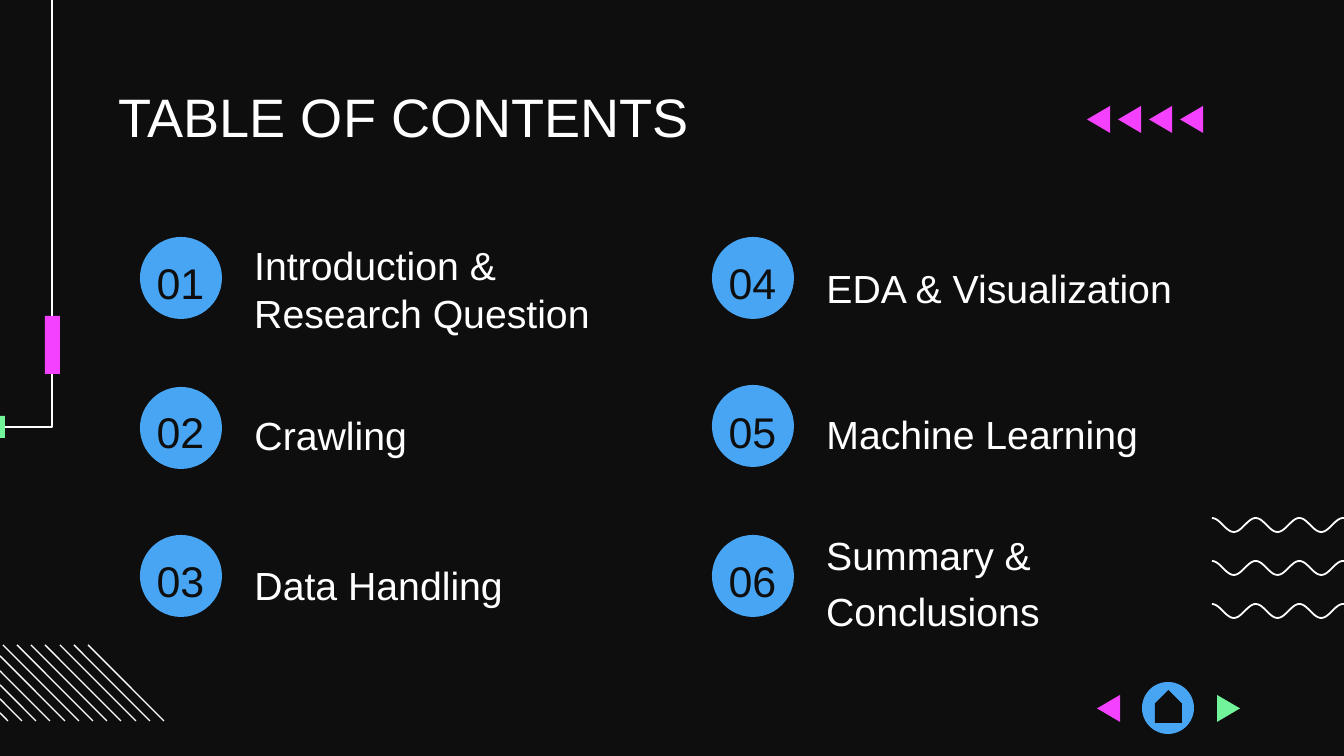
import math

from pptx import Presentation
from pptx import util as u
from pptx.dml.color import RGBColor
from pptx.enum import shapes, text
from pptx.oxml import parse_xml
from pptx.oxml.ns import nsdecls

BLACK = RGBColor(0x0E, 0x0E, 0x0E)
WHITE = RGBColor(0xFF, 0xFF, 0xFF)
BLUE = RGBColor(0x47, 0xA5, 0xF3)
PINK = RGBColor(0xF3, 0x41, 0xFF)
GREEN = RGBColor(0x72, 0xF4, 0x9A)

WIDTH, HEIGHT = 1344, 756
SCALE = 914400 / 134.4


def px(length):
    return u.Emu(round(length * SCALE))


def write(shape, wording, size, color=WHITE, top=0, align=text.PP_ALIGN.LEFT, spacing=1, after=0):
    frame = shape.text_frame
    frame.word_wrap = True
    frame.auto_size = text.MSO_AUTO_SIZE.NONE
    frame.vertical_anchor = text.MSO_ANCHOR.TOP
    frame.margin_left = frame.margin_right = frame.margin_bottom = u.Inches(0.1)
    frame.margin_top = px(top)
    frame.text = wording
    paragraph = frame.paragraphs[0]
    paragraph.alignment = align
    paragraph.line_spacing = spacing
    paragraph.space_before, paragraph.space_after = u.Pt(0), u.Pt(after)
    properties = paragraph._p.get_or_add_pPr()
    properties.set("marL", "0")
    properties.set("indent", "0")
    properties.append(parse_xml(f"<a:buNone {nsdecls('a')}/>"))
    for run in paragraph.runs:
        font = run.font
        font.name, font.size, font.bold = "Arial", u.Pt(size), False
        font.color.rgb = color


class ContentsSlide:
    """Draws the parts of the contents slide in one style, measured in px."""

    def __init__(self, deck):
        self.slide = deck.slides.add_slide(deck.slide_layouts.get_by_name("Comparison"))
        self.shapes = self.slide.shapes
        self.bodies = [p for p in self.slide.placeholders if 1 <= p.placeholder_format.idx <= 4]
        for placeholder in list(self.slide.placeholders):
            if placeholder.placeholder_format.idx > 4:
                placeholder.element.getparent().remove(placeholder.element)
        fill = self.slide.background.fill
        fill.solid()
        fill.fore_color.rgb = BLACK

    def place(self, shape, left, top, width, height):
        shape.left, shape.top = px(left), px(top)
        shape.width, shape.height = px(width), px(height)
        return shape

    def title(self, wording, left, top, width, height):
        heading = self.place(self.shapes.title, left, top, width, height)
        write(heading, wording, 29, top=4)

    def label(self, wording, left, top, width, height, spacing):
        if "\v" in wording:
            entry = self.shapes.add_textbox(0, 0, 0, 0)
        else:
            entry = self.bodies.pop(0)
        self.place(entry, left, top, width, height)
        write(entry, wording, 21, top=2, spacing=spacing, after=12)

    def number(self, wording, left, top):
        digits = self.shapes.add_textbox(px(left), px(top), px(121), px(82))
        write(digits, wording, 23, color=BLACK, top=31, align=text.PP_ALIGN.CENTER)

    def paint(self, shape, color):
        shape.shadow.inherit = False
        shape.fill.solid()
        shape.fill.fore_color.rgb = color
        shape.line.fill.background()
        return shape

    def preset(self, kind, left, top, width, height, color):
        return self.paint(self.shapes.add_shape(kind, px(left), px(top), px(width), px(height)), color)

    def outline(self, points, closed):
        start, *rest = [(px(x), px(y)) for x, y in points]
        builder = self.shapes.build_freeform(*start)
        builder.add_line_segments(rest, close=closed)
        return builder.convert_to_shape()

    def triangle(self, base, tip, top, color):
        corners = [(base, top), (tip, top + 13.5), (base, top + 27)]
        self.paint(self.outline(corners, closed=True), color)

    def stroke(self, points, weight):
        trace = self.outline(points, closed=False)
        trace.shadow.inherit = False
        trace.fill.background()
        trace.line.color.rgb = WHITE
        trace.line.width = u.Pt(weight)

    def line(self, x1, y1, x2, y2):
        hatch = self.shapes.add_connector(shapes.MSO_CONNECTOR.STRAIGHT, px(x1), px(y1), px(x2), px(y2))
        hatch.line.color.rgb = WHITE
        hatch.line.width = u.Pt(0.75)
        hatch._element.spPr.append(parse_xml(f"<a:effectLst {nsdecls('a')}/>"))


def decorate(page):
    for top in (518, 561, 604):
        page.stroke([(x, top + 7 - 7 * math.cos((x - 1212) * math.tau / 43.7))
                     for x in range(1212, WIDTH + 1, 2)], 0.95)
    for step in range(12):
        start = round(88 - 14.2 * step)
        hidden = max(0, -start)
        page.line(start + hidden, 645 + hidden, start + 76, 721)
    page.stroke([(0, 427), (52, 427), (52, 0)], 0.75)
    page.preset(shapes.MSO_SHAPE.RECTANGLE, 0, 416, 5, 22, GREEN)
    page.preset(shapes.MSO_SHAPE.RECTANGLE, 45, 316, 15, 58, PINK)
    for step in range(4):
        tip = 1087 + 31 * step
        page.triangle(tip + 23, tip, 106, PINK)


def navigation(page):
    page.preset(shapes.MSO_SHAPE.OVAL, 1142, 682, 52, 52, BLUE)
    home = page.preset(shapes.MSO_SHAPE.PENTAGON, 1152, 693, 33, 27, BLACK)
    home.rotation = 270
    page.triangle(1120, 1097, 695, PINK)
    page.triangle(1217, 1240, 695, GREEN)


def main():
    deck = Presentation()
    deck.slide_width, deck.slide_height = px(WIDTH), px(HEIGHT)
    page = ContentsSlide(deck)
    decorate(page)
    page.title("TABLE OF CONTENTS", 105, 79, 1134, 62)

    # (wording, circle top, label top, label width, label height, line spacing)
    chapters = [
        ("Introduction &\vResearch Question", 237, 237, 425, 98, 1.04),
        ("Crawling", 387, 400, 425, 52, 1.2),
        ("Data Handling", 535, 550, 425, 52, 1.2),
        ("EDA & Visualization", 237, 253, 425, 52, 1.2),
        ("Machine Learning", 385, 399, 425, 52, 1.2),
        ("Summary & \vConclusions", 535, 520, 521, 112, 1.2),
    ]
    for index, (wording, circle_top, top, width, height, spacing) in enumerate(chapters):
        column, row = divmod(index, 3)
        left = 120 + 572 * column
        page.preset(shapes.MSO_SHAPE.OVAL, left + 20, circle_top, 82, 82, BLUE)
        page.number(f"{index + 1:02}", left, 226 + 149 * row)
        page.label(wording, left + 121, top, width, height, spacing)
    navigation(page)
    deck.save("out.pptx")


if __name__ == "__main__":
    main()
